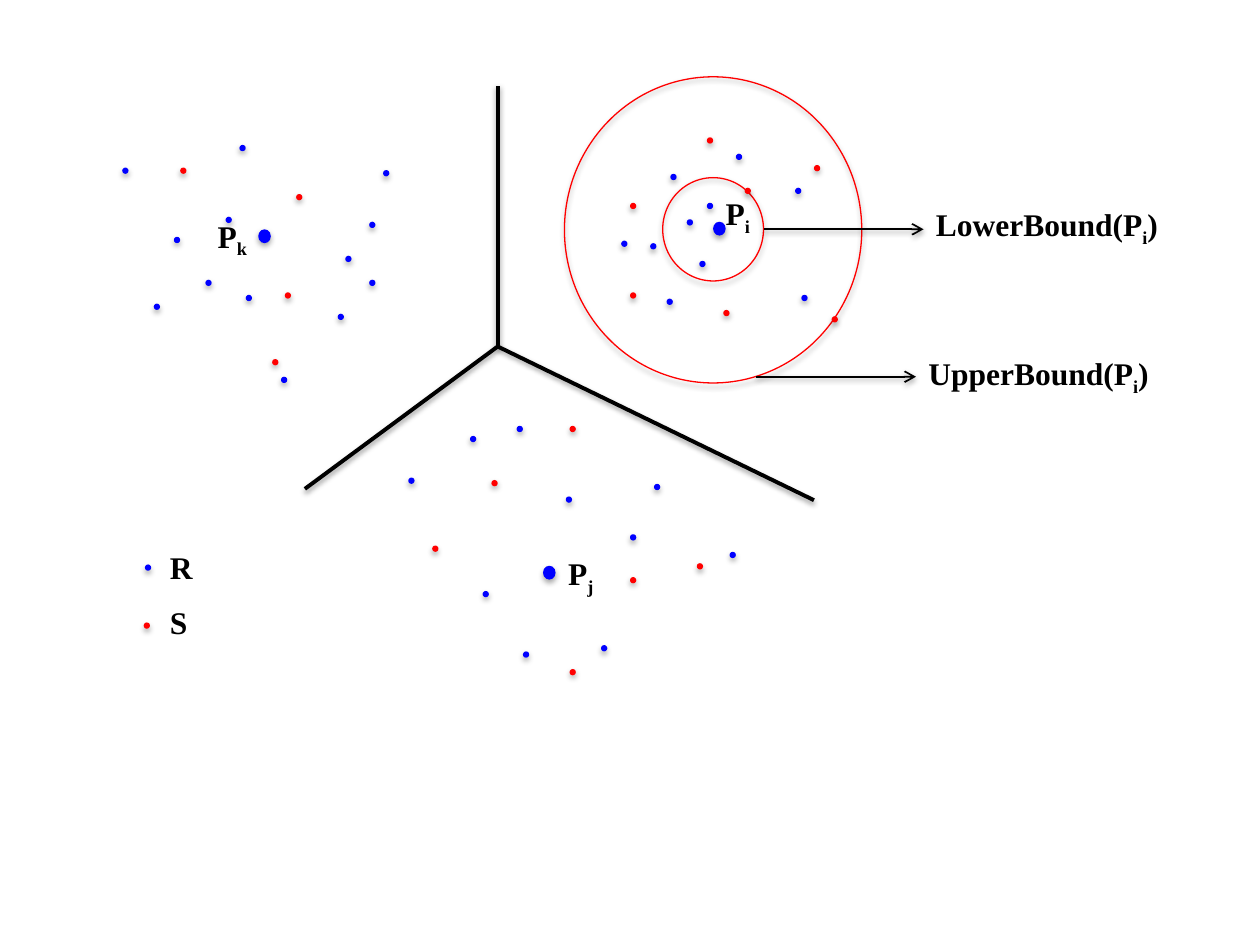
from dataclasses import dataclass

from lxml.etree import SubElement
from pptx import Presentation
from pptx.dml.color import RGBColor
from pptx.enum.shapes import MSO_CONNECTOR, MSO_SHAPE
from pptx.enum.text import MSO_AUTO_SIZE
from pptx.oxml.ns import qn
from pptx.util import Inches, Pt


@dataclass(frozen=True)
class Theme:
    font: str = "Times New Roman"
    size: int = 18
    ink: str = "000000"
    r_color: str = "0000FF"
    s_color: str = "FF0000"
    border_width: float = 2.25
    arrow_width: float = 1
    circle_width: float = 0.75


THEME = Theme()
DOT = (0.05, 0.05)
PIVOT = (0.1, 0.11)
CENTER = (3.95, 2.75)

# Top left corners of the small dots, by cell
R_DOTS = {
    "Pk": [(2.93, 1.76), (2.68, 2.49), (1.9, 1.15), (2.74, 2.03), (1.38, 1.88),
           (1.95, 2.34), (1.79, 1.72), (1.22, 2.41), (2.93, 2.22), (2.23, 2.99),
           (1.63, 2.22), (0.97, 1.33), (3.04, 1.35)],
    "Pi": [(5.29, 2.37), (6.36, 2.34), (5.61, 1.61), (5.45, 1.74), (5.16, 1.93),
           (5.32, 1.38), (5.55, 2.07), (4.93, 1.91), (5.84, 1.22), (6.31, 1.49)],
    "Pj": [(5, 4.24), (3.24, 3.79), (5.79, 4.38), (4.49, 3.94), (5.19, 3.84),
           (4.1, 3.38), (3.83, 4.69), (4.15, 5.17), (4.77, 5.12), (3.73, 3.46)],
    "legend": [(1.15, 4.48)],
}
S_DOTS = {
    "Pk": [(2.26, 2.32), (2.35, 1.54), (1.43, 1.33), (2.16, 2.85)],
    "Pi": [(5.91, 1.49), (5.61, 1.09), (6.6, 2.51), (5.74, 2.46), (6.46, 1.31),
           (5, 1.61), (5, 2.32)],
    "Pj": [(3.9, 3.81), (5.53, 4.47), (5, 4.58), (3.43, 4.33), (4.52, 5.31),
           (4.52, 3.38)],
    "legend": [(1.14, 4.94)],
}
PIVOTS = [(5.66, 1.76), (2.05, 1.82), (4.31, 4.49)]
BORDER_ENDS = [(2.42, 3.88), (3.95, 0.68), (6.46, 3.97)]
BOUND_CIRCLES = [((5.26, 1.41), (0.8, 0.82)), ((4.48, 0.61), (2.36, 2.43))]
BOUND_ARROWS = [((6.06, 1.82), (7.33, 1.82)), ((6, 2.99), (7.27, 2.99))]

# Text between underscores is subscript
LABELS = [
    ("P_k_", 1.63, 1.67, 0.47),
    ("P_j_", 4.41, 4.35, 0.41),
    ("P_i_", 5.66, 1.49, 0.41),
    ("LowerBound(P_i_)", 7.33, 1.58, 2.03),
    ("UpperBound(P_i_)", 7.27, 2.76, 1.97),
    ("R", 1.25, 4.3, 0.38),
    ("S", 1.25, 4.74, 0.34),
]


def add_shadow(shape, distance, opacity):
    """Add a soft downward shadow; call after fill and line are set."""
    effects = SubElement(shape._element.spPr, qn("a:effectLst"))
    shadow = SubElement(effects, qn("a:outerShdw"), blurRad=str(Pt(3.15)),
                        dist=str(Pt(distance)), dir="5400000", rotWithShape="0")
    color = SubElement(shadow, qn("a:srgbClr"), val=THEME.ink)
    SubElement(color, qn("a:alpha"), val=str(opacity * 1000))


def add_ellipse(slide, position, size, fill=None, line=None):
    shape = slide.shapes.add_shape(
        MSO_SHAPE.OVAL, *(Inches(value) for value in (*position, *size)))
    if fill:
        shape.fill.solid()
        shape.fill.fore_color.rgb = RGBColor.from_string(fill)
    else:
        shape.fill.background()
    if line:
        shape.line.color.rgb = RGBColor.from_string(line)
        shape.line.width = Pt(THEME.circle_width)
    else:
        shape.line.fill.background()
    add_shadow(shape, distance=1.8, opacity=35)


def add_line(slide, start, end, width, arrow=False):
    connector = slide.shapes.add_connector(
        MSO_CONNECTOR.STRAIGHT, *(Inches(value) for value in (*start, *end)))
    connector.line.color.rgb = RGBColor.from_string(THEME.ink)
    connector.line.width = Pt(width)
    if arrow:
        SubElement(connector.line._get_or_add_ln(), qn("a:tailEnd"), type="arrow")
    add_shadow(connector, distance=1.6, opacity=38)


def add_label(slide, text, left, top, width, height=0.4, bold=True, color=THEME.ink):
    box = slide.shapes.add_textbox(
        *(Inches(value) for value in (left, top, width, height)))
    frame = box.text_frame
    frame.word_wrap = False
    frame.auto_size = MSO_AUTO_SIZE.SHAPE_TO_FIT_TEXT
    paragraph = frame.paragraphs[0]
    for index, part in enumerate(text.split("_")):
        if not part:
            continue
        run = paragraph.add_run()
        run.text = part
        run.font.name = THEME.font
        run.font.size = Pt(THEME.size)
        run.font.bold = bold
        run.font.color.rgb = RGBColor.from_string(color)
        if index % 2:
            run._r.get_or_add_rPr().set("baseline", "-25000")


def main():
    presentation = Presentation()
    presentation.slide_width = Inches(10)
    presentation.slide_height = Inches(7.5)
    slide = presentation.slides.add_slide(presentation.slide_layouts[6])

    # Cell borders
    for end in BORDER_ENDS:
        add_line(slide, CENTER, end, THEME.border_width)

    # Pivots and bound circles
    for position in PIVOTS:
        add_ellipse(slide, position, PIVOT, fill=THEME.r_color)
    for position, size in BOUND_CIRCLES:
        add_ellipse(slide, position, size, line=THEME.s_color)

    # Dots of both sets, with their legend dots
    for cells, color in ((S_DOTS, THEME.s_color), (R_DOTS, THEME.r_color)):
        for positions in cells.values():
            for position in positions:
                add_ellipse(slide, position, DOT, fill=color)

    # Arrows to the bound names, and all labels
    for start, end in BOUND_ARROWS:
        add_line(slide, start, end, THEME.arrow_width, arrow=True)
    for label in LABELS:
        add_label(slide, *label)

    presentation.save("out.pptx")


if __name__ == "__main__":
    main()
